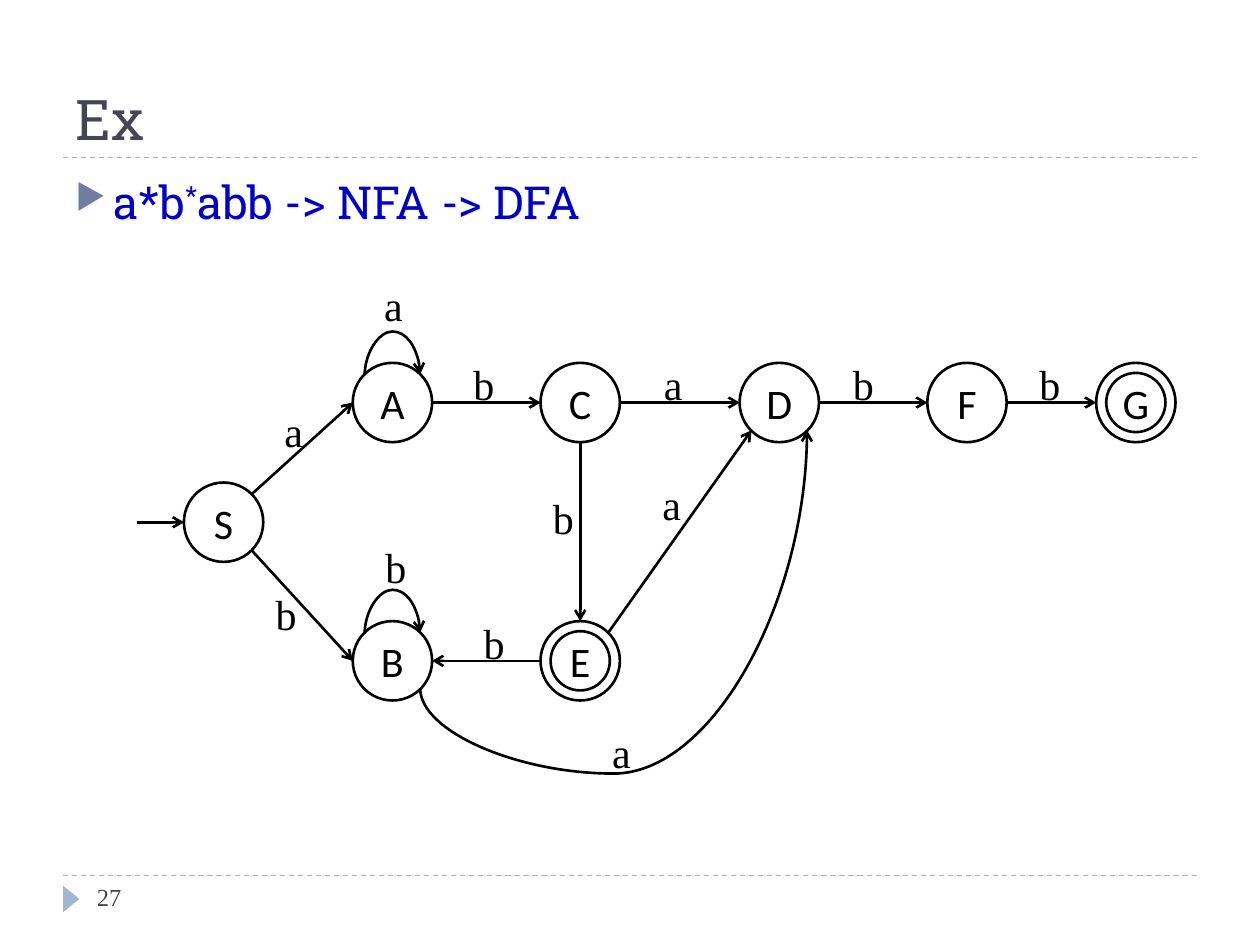
"""Build a slide with the state diagram of the automaton for a*b*abb."""
from lxml import etree
from pptx import Presentation
from pptx.dml.color import RGBColor
from pptx.enum.dml import MSO_LINE
from pptx.enum.shapes import MSO_CONNECTOR, MSO_SHAPE
from pptx.enum.text import MSO_ANCHOR, MSO_AUTO_SIZE, PP_ALIGN
from pptx.oxml.ns import qn
from pptx.util import Inches, Pt

STRAIGHT, CURVE = MSO_CONNECTOR.STRAIGHT, MSO_CONNECTOR.CURVE
OVAL, TRIANGLE = MSO_SHAPE.OVAL, MSO_SHAPE.ISOSCELES_TRIANGLE
TOP, MIDDLE, BOTTOM = MSO_ANCHOR.TOP, MSO_ANCHOR.MIDDLE, MSO_ANCHOR.BOTTOM
LEFT, CENTER = PP_ALIGN.LEFT, PP_ALIGN.CENTER
DASH, FIT = MSO_LINE.DASH, MSO_AUTO_SIZE.SHAPE_TO_FIT_TEXT

THEME = {
    "title": {"name": "Roboto Slab", "size": 32, "color": "464653"},
    "body": {"name": "Roboto Slab", "size": 26, "color": "0000CC"},
    "number": {"name": "Times New Roman", "size": 14, "color": "464653"},
    "state": {"name": "Calibri", "size": 24, "color": "000000"},
    "label": {"name": "Times New Roman", "size": 24, "color": "000000"},
    "ink": "000000", "rule": "9FB8CD", "bullet": "727CA3",
    "stroke": 1.5, "hairline": 0.75,
}

TITLE, NUMBER = "Ex", "27"
EXPRESSION = [("a*b", 0), ("*", 30000), ("abb -> NFA -> DFA", 0)]

SLIDE_W, SLIDE_H = 10, 7.5
MARGIN = 0.5
RULES = (1.25, 6.95)
COLS = (1.46, 2.8, 4.29, 5.87, 7.36, 8.7)
ROWS = (2.88, 3.83, 4.93)
SIZE, RING = 0.63, 0.47
STATES = {"S": (0, 1), "A": (1, 0), "B": (1, 2), "C": (2, 0),
          "D": (3, 0), "F": (4, 0), "G": (5, 0), "E": (2, 2)}
FINAL = ("G", "E")
PORTS = {"w": (0, 0.5), "e": (1, 0.5), "n": (0.5, 0), "s": (0.5, 1),
         "nw": (0.15, 0.15), "ne": (0.85, 0.15),
         "sw": (0.15, 0.85), "se": (0.85, 0.85)}
EDGES = [
    ("S", "ne", "A", "w", "a", (2.16, 3.17)),
    ("S", "se", "B", "w", "b", (2.09, 4.62)),
    ("E", "w", "B", "e", "b", (3.74, 4.85)),
    ("A", "e", "C", "w", "b", (3.66, 2.8)),
    ("C", "e", "D", "w", "a", (5.17, 2.8)),
    ("D", "e", "F", "w", "b", (6.67, 2.8)),
    ("F", "e", "G", "w", "b", (8.15, 2.8)),
    ("C", "s", "E", "n", "b", (4.29, 3.86)),
    ("E", "ne", "D", "sw", "a", (5.16, 3.75)),
]
ARCS = [
    ("A", "nw", "A", "ne", "a", (2.95, 2.17), 2.62),
    ("B", "nw", "B", "ne", "b", (2.96, 4.25), 4.67),
    ("B", "se", "D", "se", "a", (4.76, 5.72), 6.14),
]
START_LENGTH = 0.37


def style(font, key):
    for name, value in THEME[key].items():
        if name == "color":
            font.color.rgb = RGBColor.from_string(value)
        else:
            setattr(font, name, Pt(value) if name == "size" else value)


def write(sp, text, key, align=LEFT, **frame):
    tf = sp.text_frame
    for name, value in frame.items():
        setattr(tf, name, value)
    p = tf.paragraphs[0]
    p.alignment = align
    r = p.add_run()
    r.text = text
    style(r.font, key)


def add_text(slide, box, text, key, **frame):
    write(slide.shapes.add_textbox(*map(Inches, box)), text, key, **frame)


def add_shape(slide, kind, box, fill=None, line=None):
    sp = slide.shapes.add_shape(kind, *map(Inches, box))
    sp.shadow.inherit = False
    for part, color in ((sp.fill, fill), (sp.line.fill, line)):
        if color:
            part.solid()
            part.fore_color.rgb = RGBColor.from_string(color)
        else:
            part.background()
    sp.line.width = Pt(THEME["stroke"])
    return sp


def add_line(slide, start, end, kind=STRAIGHT, color="ink", width="stroke", arrow=True):
    sp = slide.shapes.add_connector(kind, *map(Inches, (*start, *end)))
    sp.line.color.rgb = RGBColor.from_string(THEME[color])
    sp.line.width = Pt(THEME[width])
    if arrow:
        etree.SubElement(sp.line._get_or_add_ln(), qn("a:tailEnd"), type="arrow")
    etree.SubElement(sp._element.spPr, qn("a:effectLst"))
    return sp


def add_arc(slide, start, end, apex):
    (x0, y0), (x1, y1) = start, end
    w, h = max(y0 - y1, 0.01), x1 - x0
    left, top = (x0 + x1 - w) / 2, (y0 + y1 - h) / 2
    sp = add_line(slide, (left, top), (left + w, top + h), CURVE)
    xfrm = sp._element.spPr.find(qn("a:xfrm"))
    below = apex > y0
    turn = {"rot": "5400000", "flipH": "1", "flipV": "1"} if below else {"rot": "16200000"}
    for name, value in turn.items():
        xfrm.set(name, value)
    guides = sp._element.spPr.find(qn("a:prstGeom")).get_or_add_avLst()
    bend = round((y0 - apex) / w * 100000)
    etree.SubElement(guides, qn("a:gd"), name="adj1", fmla=f"val {bend}")


def corner(state):
    col, row = STATES[state]
    return COLS[col], ROWS[row]


def port(state, side):
    return tuple(c + SIZE * share for c, share in zip(corner(state), PORTS[side]))


def add_expression(slide):
    sp = slide.shapes.add_textbox(*map(Inches, (MARGIN, 1.33, SLIDE_W - 2 * MARGIN, 0.68)))
    sp.text_frame.word_wrap = True
    p = sp.text_frame.paragraphs[0]
    pPr = p._p.get_or_add_pPr()
    for name, value in (("marL", 0.3), ("indent", -0.3)):
        pPr.set(name, str(Inches(value)))
    color = etree.SubElement(pPr, qn("a:buClr"))
    etree.SubElement(color, qn("a:srgbClr"), val=THEME["bullet"])
    etree.SubElement(pPr, qn("a:buSzPct"), val="76000")
    etree.SubElement(pPr, qn("a:buChar"), char="▶")
    for text, baseline in EXPRESSION:
        r = p.add_run()
        r.text = text
        style(r.font, "body")
        r._r.get_or_add_rPr().set("baseline", str(baseline))


def add_frame(slide):
    for y in RULES:
        sp = add_line(slide, (MARGIN, y), (SLIDE_W - MARGIN, y),
                      color="rule", width="hairline", arrow=False)
        sp.line.dash_style = DASH
    add_shape(slide, TRIANGLE, (0.46, 7.07, 0.21, 0.13), fill=THEME["rule"]).rotation = 90
    add_text(slide, (MARGIN, 0.17, SLIDE_W - 2 * MARGIN, 1.08), TITLE, "title",
             word_wrap=True, vertical_anchor=BOTTOM)
    add_text(slide, (0.67, RULES[1], 2.17, 0.4), NUMBER, "number",
             word_wrap=True, vertical_anchor=TOP)


def add_diagram(slide):
    gap = (SIZE - RING) / 2
    for state in STATES:
        x, y = corner(state)
        sp = add_shape(slide, OVAL, (x, y, SIZE, SIZE), line=THEME["ink"])
        write(sp, state, "state", CENTER, vertical_anchor=MIDDLE, word_wrap=False,
              margin_left=0, margin_right=0)
        if state in FINAL:
            add_shape(slide, OVAL, (x + gap, y + gap, RING, RING), line=THEME["ink"])
    x, y = port("S", "w")
    add_line(slide, (x - START_LENGTH, y), (x, y))
    for source, out, target, into, *_ in EDGES:
        add_line(slide, port(source, out), port(target, into))
    for source, out, target, into, _, _, apex in ARCS:
        add_arc(slide, port(source, out), port(target, into), apex)
    for _, _, _, _, label, place, *_ in EDGES + ARCS:
        add_text(slide, (*place, 0.36, 0.5), label, "label", word_wrap=False, auto_size=FIT)


def main():
    prs = Presentation()
    prs.slide_width, prs.slide_height = Inches(SLIDE_W), Inches(SLIDE_H)
    slide = prs.slides.add_slide(prs.slide_layouts[6])
    add_frame(slide)
    add_expression(slide)
    add_diagram(slide)
    prs.save("out.pptx")


if __name__ == "__main__":
    main()
